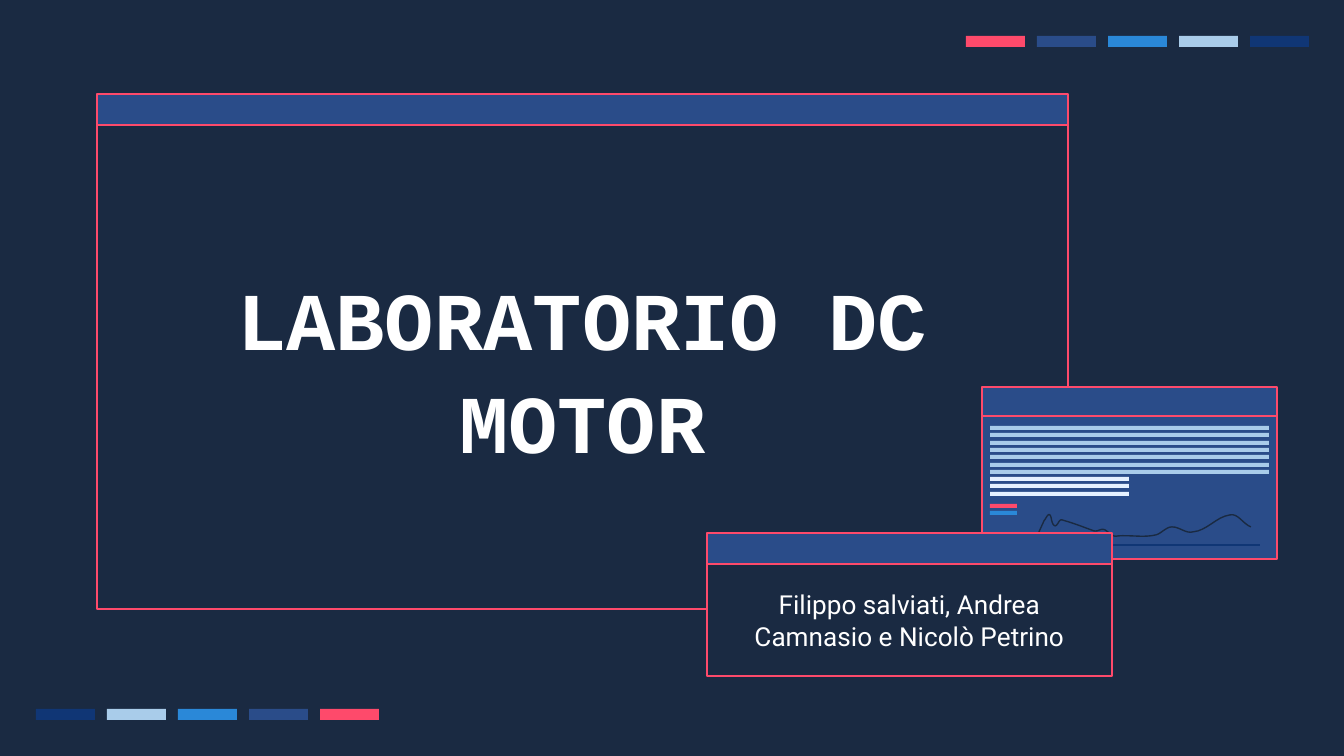
import dataclasses

import pptx
import pptx.dml.color
import pptx.enum.shapes
import pptx.enum.text
import pptx.oxml
import pptx.oxml.ns
import pptx.util

PX = 914400 / 134.4


def emu(px):
    return pptx.util.Emu(round(px * PX))


def rgb(code):
    return pptx.dml.color.RGBColor.from_string(code)


@dataclasses.dataclass(frozen=True)
class Theme:
    navy: str = "1A2A42"
    blue: str = "2A4C89"
    bright: str = "2A88D8"
    sky: str = "A9CCEA"
    pale: str = "E5F1FF"
    deep: str = "103675"
    coral: str = "FE4A6B"
    white: str = "FFFFFF"
    title_font: str = "Courier New"
    title_size: int = 44
    title_spacing: float = 1.05
    body_font: str = "Roboto"
    body_size: int = 14
    line_width: float = 0.75


class SlideBuilder:
    def __init__(self, slide, theme):
        self.slide = slide
        self.theme = theme
        slide.background.fill.solid()
        slide.background.fill.fore_color.rgb = rgb(theme.navy)

    def outline(self, line, color):
        line.color.rgb = rgb(color)
        line.width = pptx.util.Pt(self.theme.line_width)

    def paint(self, shape, fill, border=None):
        shape.fill.solid()
        shape.fill.fore_color.rgb = rgb(fill)
        if border:
            self.outline(shape.line, border)
        else:
            shape.line.fill.background()

    def rect(self, x, y, width, height, fill, border=None):
        shape = self.slide.shapes.add_shape(
            pptx.enum.shapes.MSO_SHAPE.RECTANGLE,
            emu(x), emu(y), emu(width), emu(height))
        shape.shadow.inherit = False
        self.paint(shape, fill, border)
        return shape

    def rule(self, x1, x2, y, color):
        connector = self.slide.shapes.add_connector(
            pptx.enum.shapes.MSO_CONNECTOR.STRAIGHT,
            emu(x1), emu(y), emu(x2), emu(y))
        self.outline(connector.line, color)
        connector._element.spPr.append(
            pptx.oxml.parse_xml(f"<a:effectLst {pptx.oxml.ns.nsdecls('a')}/>"))

    def curve(self, start, segments, color, steps=8):
        """Draw an open line through cubic Bézier segments."""
        points = [start]
        for c1, c2, end in segments:
            origin = points[-1]
            for step in range(1, steps + 1):
                t = step / steps
                u = 1 - t
                points.append(tuple(
                    u**3 * a + 3 * u * u * t * b + 3 * u * t * t * c + t**3 * d
                    for a, b, c, d in zip(origin, c1, c2, end)))
        first, *rest = [(emu(x), emu(y)) for x, y in points]
        builder = self.slide.shapes.build_freeform(*first)
        builder.add_line_segments(rest, close=False)
        shape = builder.convert_to_shape()
        shape.shadow.inherit = False
        shape.fill.background()
        self.outline(shape.line, color)

    def label(self, shape, text, font, size, bold=False, spacing=1.0):
        frame = shape.text_frame
        frame.text = text
        frame.word_wrap = True
        frame.auto_size = pptx.enum.text.MSO_AUTO_SIZE.NONE
        frame.vertical_anchor = pptx.enum.text.MSO_ANCHOR.MIDDLE
        inset = pptx.util.Inches(0.1)
        frame.margin_left = frame.margin_right = inset
        frame.margin_top = frame.margin_bottom = inset
        paragraph = frame.paragraphs[0]
        paragraph.alignment = pptx.enum.text.PP_ALIGN.CENTER
        paragraph.line_spacing = spacing
        paragraph.font.name = font
        paragraph.font.size = pptx.util.Pt(size)
        paragraph.font.bold = bold
        paragraph.font.color.rgb = rgb(self.theme.white)

    def title(self, text, x, y, width, height):
        holder = self.slide.shapes.title
        holder.left, holder.top = emu(x), emu(y)
        holder.width, holder.height = emu(width), emu(height)
        self.paint(holder, self.theme.navy, self.theme.coral)
        self.label(holder, text, self.theme.title_font, self.theme.title_size,
                   bold=True, spacing=self.theme.title_spacing)

    def swatches(self, x, y, colors):
        for index, color in enumerate(colors):
            self.rect(x + 71 * index, y, 59, 11, color)

    def stripes(self, y, width, colors):
        for index, color in enumerate(colors):
            self.rect(990, y + round(7.35 * index), width, 4, color)


def main():
    theme = Theme()
    deck = pptx.Presentation()
    deck.slide_width, deck.slide_height = emu(1344), emu(756)
    cover = SlideBuilder(deck.slides.add_slide(deck.slide_layouts[5]), theme)

    palette = [theme.coral, theme.blue, theme.bright, theme.sky, theme.deep]
    cover.swatches(966, 36, palette)
    cover.swatches(36, 709, palette[::-1])

    cover.title("LABORATORIO DC MOTOR", 97, 125, 971, 484)

    # Small window with text lines and a graph
    cover.rect(982, 387, 295, 172, theme.blue, theme.coral)
    cover.curve((1037, 538), [
        ((1039, 531), (1042, 526), (1044, 521)),
        ((1046, 519), (1048, 513), (1050, 515)),
        ((1052, 517), (1051, 524), (1055, 526)),
        ((1058, 526), (1059, 519), (1062, 520)),
        ((1073, 523), (1083, 527), (1094, 531)),
        ((1098, 532), (1101, 528), (1105, 530)),
        ((1109, 532), (1113, 538), (1118, 536)),
        ((1130, 535), (1144, 538), (1156, 535)),
        ((1161, 534), (1166, 527), (1172, 527)),
        ((1180, 527), (1186, 534), (1193, 532)),
        ((1207, 531), (1216, 517), (1230, 515)),
        ((1238, 513), (1243, 524), (1251, 527)),
    ], theme.navy)
    cover.rule(1031, 1260, 545, theme.deep)
    cover.rule(982, 1277, 416, theme.coral)
    cover.stripes(426, 279, [theme.sky] * 7)
    cover.stripes(477, 139, [theme.pale] * 3)
    cover.stripes(504, 27, [theme.coral, theme.bright])

    authors = cover.rect(707, 564, 405, 112, theme.navy, theme.coral)
    cover.label(authors, "Filippo salviati, Andrea Camnasio e Nicolò Petrino",
                theme.body_font, theme.body_size)
    cover.rect(707, 533, 405, 31, theme.blue, theme.coral)
    cover.rect(97, 94, 971, 31, theme.blue, theme.coral)

    deck.save("out.pptx")


if __name__ == "__main__":
    main()
